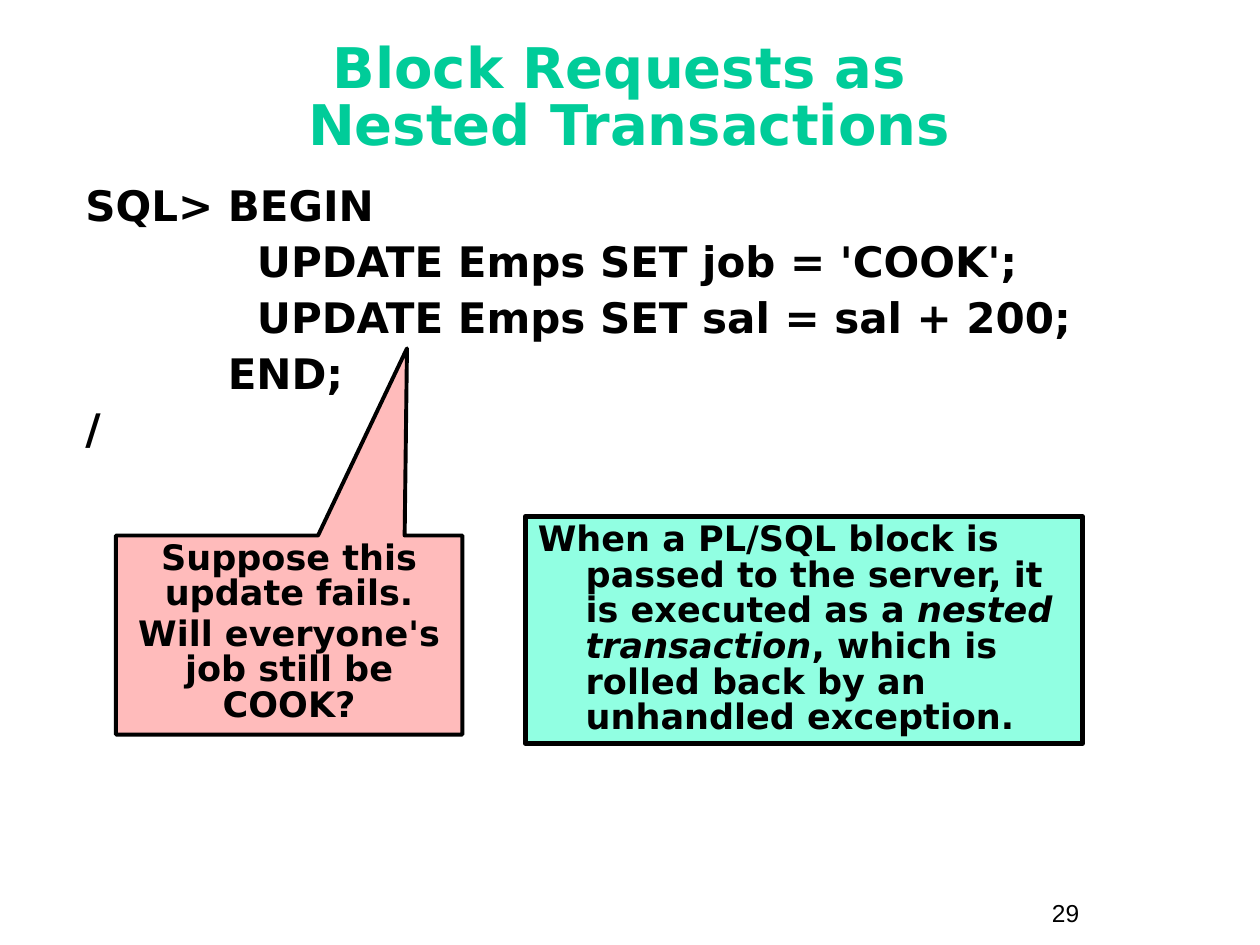
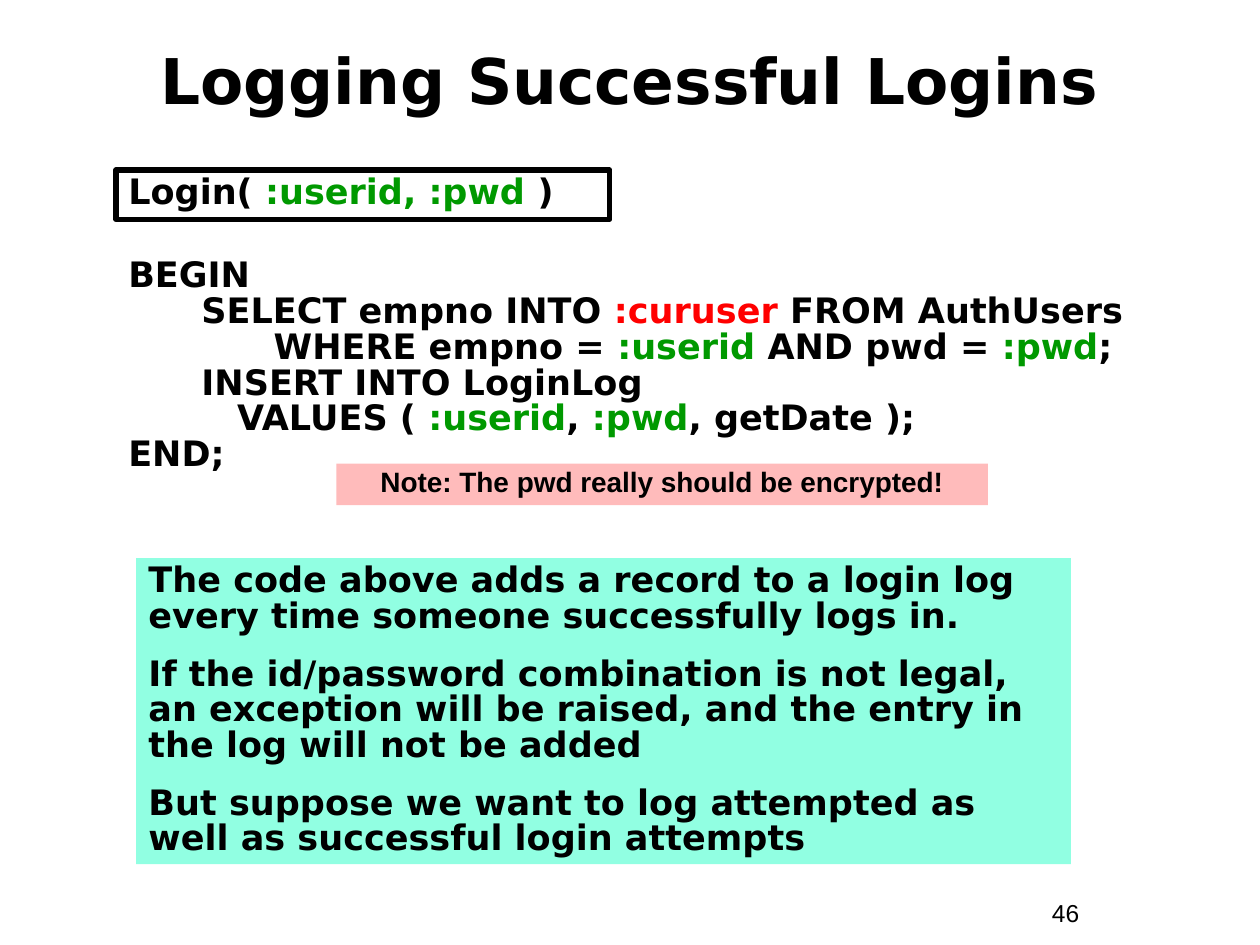
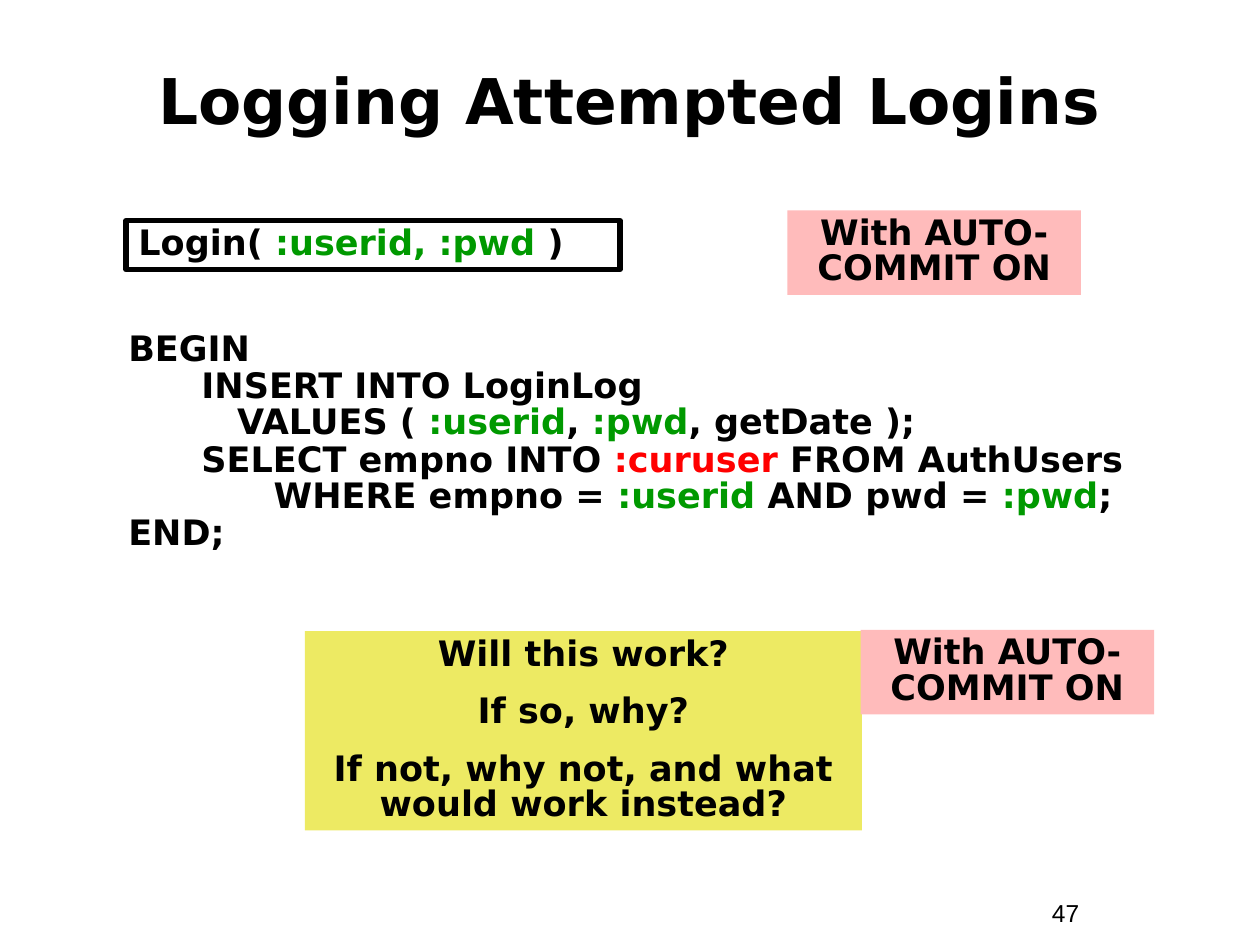
from dataclasses import dataclass

from pptx import Presentation
from pptx import util as u
from pptx.dml import color
from pptx.enum import shapes, text

KIND = shapes.MSO_SHAPE
ALIGN = text.PP_ALIGN


@dataclass(frozen=True)
class Theme:
    black: str = "000000"
    green: str = "00CC99"
    param: str = "009900"
    user: str = "FF0000"
    pink: str = "FFBBBB"
    mint: str = "91FFE2"
    yellow: str = "EDEA63"
    sans: str = "DejaVu Sans"
    plain: str = "Arial"
    head: int = 36
    code: int = 24
    body: int = 20
    note: int = 16
    foot: int = 14
    tight: float = 0.85


T = Theme()


def assign(item, values):
    for name, value in values.items():
        setattr(item, name, value)


class Deck:
    def __init__(self):
        self.prs = Presentation()
        assign(self.prs, {"slide_width": u.Inches(10), "slide_height": u.Inches(7.5)})
        self.slide = None

    def start(self, title, number, top=0.33, **style):
        self.slide = self.prs.slides.add_slide(self.prs.slide_layouts[5])
        self.label([8.25, 7.08, 0.92, 0.34], [number], size=T.foot, face=T.plain,
                   bold=False, lead=1)
        head = self.slide.shapes.title
        places = zip(("left", "top", "width", "height"), (0.33, top, 9.33, 0.92))
        assign(head, {side: u.Inches(size) for side, size in places})
        style = {"size": T.head, "lead": 1, **style}
        self.fill(head, [title], align=ALIGN.CENTER,
                  anchor=text.MSO_ANCHOR.MIDDLE, **style)

    def label(self, place, lines, **style):
        box = self.slide.shapes.add_textbox(*map(u.Inches, place))
        self.fill(box, lines, **style)

    def box(self, place, lines, paint=None, line=0, kind=KIND.RECTANGLE, **style):
        shape = self.slide.shapes.add_shape(kind, *map(u.Inches, place))
        shape.shadow.inherit = False
        if paint:
            shape.fill.solid()
            shape.fill.fore_color.rgb = color.RGBColor.from_string(paint)
        else:
            shape.fill.background()
        if line:
            shape.line.color.rgb = color.RGBColor.from_string(T.black)
            shape.line.width = u.Pt(line)
        else:
            shape.line.fill.background()
        self.fill(shape, lines, **style)
        return shape

    def fill(self, shape, lines, size=T.body, face=T.sans, tint=T.black, bold=True,
             align=ALIGN.LEFT, lead=T.tight, gap=0, hang=0,
             anchor=text.MSO_ANCHOR.TOP):
        """Put text in a shape; a line is a string or a list of strings and (string, format)."""
        frame = shape.text_frame
        assign(frame, {"word_wrap": True, "auto_size": text.MSO_AUTO_SIZE.NONE,
                       "vertical_anchor": anchor})
        for index, line in enumerate(lines):
            para = frame.add_paragraph() if index else frame.paragraphs[0]
            assign(para, {"alignment": align, "line_spacing": lead,
                          "space_before": u.Pt(gap if index else 0)})
            if hang:
                props = para._p.get_or_add_pPr()
                props.set("marL", str(u.Inches(hang)))
                props.set("indent", str(-u.Inches(hang)))
            for part in [line] if isinstance(line, str) else line:
                words, extra = (part, {}) if isinstance(part, str) else part
                look = {"size": u.Pt(size), "name": face, "bold": bold, **extra}
                shade = look.pop("tint", tint)
                for row, piece in enumerate(words.split("\n")):
                    if row:
                        para.add_line_break()
                    run = para.add_run()
                    run.text = piece
                    assign(run.font, look)
                    run.font.color.rgb = color.RGBColor.from_string(shade)

    def login(self, left, top):
        self.box([left, top, 3.92, 0.39],
                 [["Login( ", (":userid, :pwd", {"tint": T.param}), " )"]], line=3)

    def commit(self, left, top):
        self.box([left, top, 2.33, 0.67], ["With AUTO-\nCOMMIT ON"], T.pink,
                 align=ALIGN.CENTER)


USERID = (":userid", {"tint": T.param})
PWD = (":pwd", {"tint": T.param})
SELECT = ["      SELECT empno INTO ", (":curuser", {"tint": T.user}),
          " FROM AuthUsers\n        WHERE empno = ", USERID, " AND pwd = ", PWD, ";"]
INSERT = ["      INSERT INTO LoginLog\n     VALUES ( ", USERID, ", ", PWD,
          ", getDate );"]


def nested(deck):
    deck.start("Block Requests as \nNested Transactions", "29", size=32,
               tint=T.green, lead=T.tight)
    deck.label([0.58, 1.42, 8.83, 5.25],
               ["SQL> BEGIN", "\t  UPDATE Emps SET job = 'COOK';",
                "\t  UPDATE Emps SET sal = sal + 200;", "\tEND;", "/"],
               size=T.code, lead=0.9, gap=6, hang=1.13)
    call = deck.box([0.92, 4.25, 2.75, 1.58],
                    ["Suppose this update fails.",
                     "Will everyone's job still be COOK?"],
                    T.pink, 2.25, KIND.RECTANGULAR_CALLOUT, align=ALIGN.CENTER, gap=2.5)
    call.adjustments[0], call.adjustments[1] = 0.34, -1.44
    deck.box([4.17, 4.1, 4.42, 1.8],
             [["When a PL/SQL block is passed to the server, it is executed as a ",
               ("nested transaction", {"italic": True}),
               ", which is rolled back by an unhandled exception."]],
             T.mint, 3, hang=0.38)


def success(deck):
    deck.start("Logging Successful Logins", "46", top=0.17)
    deck.label([0.92, 2.01, 8.5, 2.5], ["BEGIN", SELECT, INSERT, "END;"], hang=0.38)
    deck.box([1.08, 4.43, 7.42, 2.43],
             ["The code above adds a record to a login log every time someone "
              "successfully logs in.",
              "If the id/password combination is not legal, an exception will be "
              "raised, and the entry in the log will not be added",
              "But suppose we want to log attempted as well as successful login "
              "attempts"], T.mint, gap=12.5)
    deck.login(0.92, 1.35)
    deck.box([2.67, 3.68, 5.17, 0.33], ["Note: The pwd really should be encrypted!"],
             T.pink, size=T.note, face=T.plain, align=ALIGN.CENTER)


def attempt(deck):
    deck.start("Logging Attempted Logins", "47")
    deck.box([2.42, 5.01, 4.42, 1.58],
             ["Will this work?", "If so, why?",
              "If not, why not, and what would work instead?"],
             T.yellow, align=ALIGN.CENTER, gap=12.5)
    deck.label([0.92, 2.59, 8.5, 2.5], ["BEGIN", INSERT, SELECT, "END;"],
               gap=1.2, hang=0.38)
    deck.login(1, 1.75)
    deck.commit(6.25, 1.67)
    deck.commit(6.83, 5)


def main():
    deck = Deck()
    for build in (nested, success, attempt):
        build(deck)
    deck.prs.save("out.pptx")


if __name__ == "__main__":
    main()
